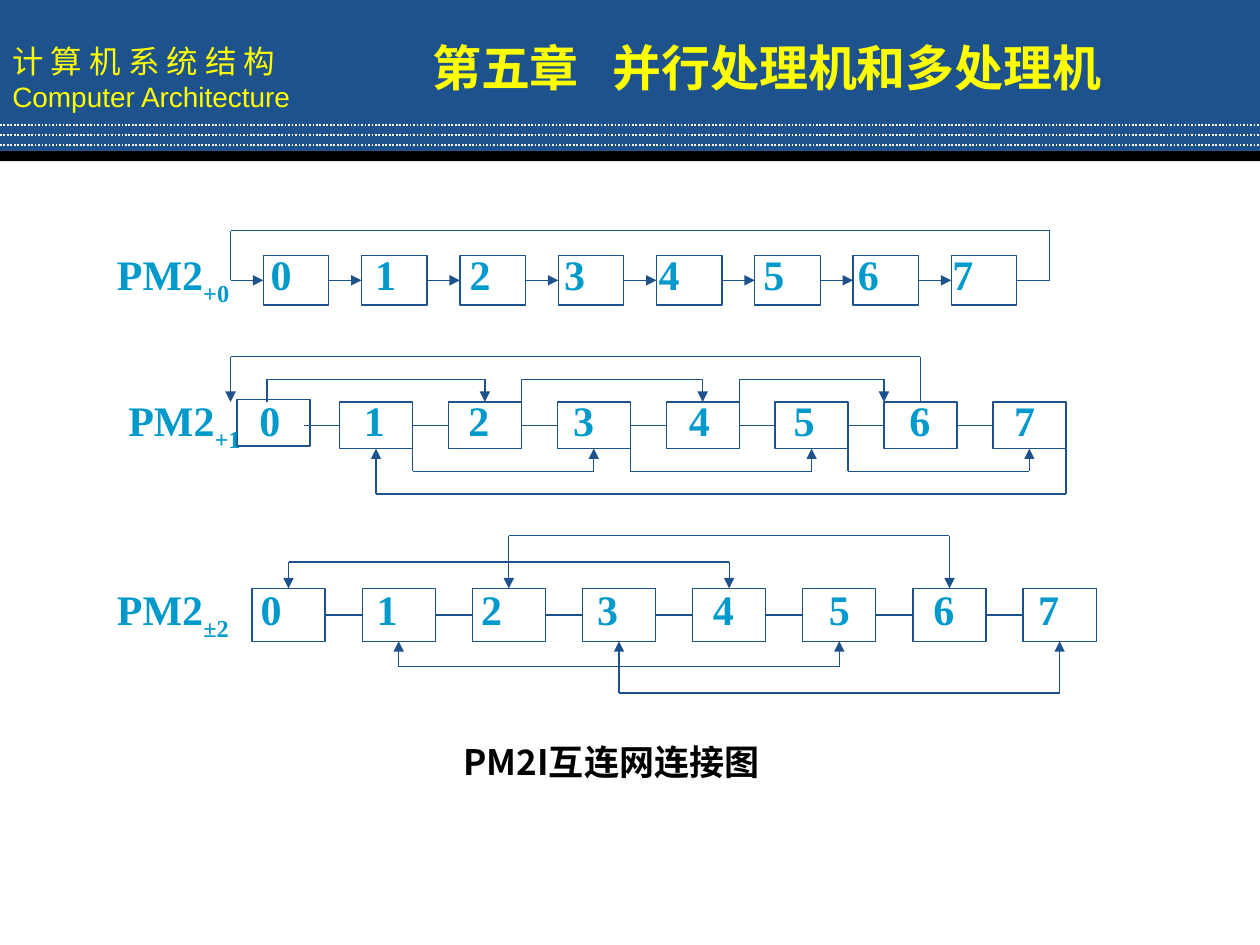
from dataclasses import dataclass
from itertools import accumulate

import pptx
import pptx.dml.color
import pptx.enum.dml
import pptx.enum.shapes
import pptx.enum.text
import pptx.oxml.ns
import pptx.util
from lxml import etree
from pptx.util import Inches

qn = pptx.oxml.ns.qn


@dataclass(frozen=True)
class Theme:
    blue: str = "1D528D"
    cyan: str = "0099CC"
    yellow: str = "FFFF00"
    white: str = "FFFFFF"
    black: str = "000000"
    chinese: str = "Noto Sans CJK SC"
    sans: str = "Arial"
    serif: str = "Times New Roman"
    title_size: int = 28
    node_size: int = 24
    caption_size: int = 20
    course_size: int = 18
    course_english_size: int = 16
    line_width: float = 0.75


THEME = Theme()
RECTANGLE = pptx.enum.shapes.MSO_SHAPE.RECTANGLE


@dataclass
class NodeRow:
    """Eight equally spaced boxes."""
    first: float
    last: float
    top: float
    width: float
    height: float

    def x(self, node, fraction=0.0):
        return self.first + node * (self.last - self.first) / 7 + fraction * self.width

    @property
    def middle(self):
        return self.top + self.height / 2

    def edge(self, level):
        return self.top if level < self.top else self.top + self.height


def color(value):
    return pptx.dml.color.RGBColor.from_string(value)


def style(paragraph, size, font_name, text_color, bold=False):
    font = paragraph.font
    font.size = pptx.util.Pt(size)
    font.name = font_name
    font.bold = bold
    font.color.rgb = color(text_color)
    properties = paragraph._p.get_or_add_pPr().find(qn("a:defRPr"))
    etree.SubElement(properties, qn("a:ea"), typeface=font_name)


def add_tabs(paragraph, positions):
    tab_list = etree.SubElement(paragraph._p.get_or_add_pPr(), qn("a:tabLst"))
    for position in positions:
        etree.SubElement(tab_list, qn("a:tab"), pos=str(int(Inches(position))), algn="l")


def add_box(slide, left, top, width, height, fill=None, line=None):
    shape = slide.shapes.add_shape(
        RECTANGLE, Inches(left), Inches(top), Inches(width), Inches(height))
    shape.shadow.inherit = False
    if fill:
        shape.fill.solid()
        shape.fill.fore_color.rgb = color(fill)
    else:
        shape.fill.background()
    if line:
        shape.line.color.rgb = color(line)
        shape.line.width = pptx.util.Pt(THEME.line_width)
    else:
        shape.line.fill.background()
    return shape


def add_line(slide, start, end, head=False, tail=False,
             line_color=THEME.blue, width=THEME.line_width):
    connector = slide.shapes.add_connector(
        pptx.enum.shapes.MSO_CONNECTOR.STRAIGHT, *map(Inches, (*start, *end)))
    connector.line.color.rgb = color(line_color)
    connector.line.width = pptx.util.Pt(width)
    line = connector.line._get_or_add_ln()
    for tag, wanted in (("a:headEnd", head), ("a:tailEnd", tail)):
        if wanted:
            etree.SubElement(line, qn(tag), type="triangle")
    etree.SubElement(connector.element.spPr, qn("a:effectLst"))
    return connector


def add_route(slide, points, head=False):
    """Join the points with straight lines, ending in an arrowhead."""
    count = len(points) - 1
    for index in range(count):
        add_line(slide, points[index], points[index + 1],
                 head=head and index == 0, tail=index == count - 1)


def add_bracket(slide, row, start, end, level, head=False):
    """Link two (node, fraction) places through a horizontal level."""
    edge, start_x, end_x = row.edge(level), row.x(*start), row.x(*end)
    add_route(slide, [(start_x, edge), (start_x, level), (end_x, level), (end_x, edge)], head)


def add_text(slide, left, top, width, height):
    text_box = slide.shapes.add_textbox(Inches(left), Inches(top), Inches(width), Inches(height))
    text_box.text_frame.word_wrap = True
    return text_box.text_frame.paragraphs[0]


def add_row_text(slide, left, top, width, subscript, first_tab, gaps):
    """Write the row label and its node numbers; gaps separate the numbers."""
    paragraph = add_text(slide, left, top, width, 0.57)
    add_tabs(paragraph, accumulate(gaps, initial=first_tab))
    style(paragraph, THEME.node_size, THEME.serif, THEME.cyan, bold=True)
    paragraph.add_run().text = "PM2"
    lowered = paragraph.add_run()
    lowered.text = subscript
    lowered._r.get_or_add_rPr().set("baseline", "-30000")
    paragraph.add_run().text = "".join(f"\t{node}" for node in range(8))


def add_nodes(slide, row, arrows=False, first_shift=(0, 0)):
    for node in range(8):
        shift_x, shift_y = first_shift if node == 0 else (0, 0)
        add_box(slide, row.x(node) + shift_x, row.top + shift_y,
                row.width, row.height, line=THEME.blue)
    for node in range(7):
        add_line(slide, (row.x(node, 1), row.middle), (row.x(node + 1), row.middle), tail=arrows)


def add_banner(slide):
    banner = add_box(slide, 0, 0, 10, 1.23, fill=THEME.blue)
    frame = banner.text_frame
    frame.word_wrap = True
    frame.vertical_anchor = pptx.enum.text.MSO_ANCHOR.MIDDLE
    lines = (("计 算 机 系 统 结 构", THEME.course_size, THEME.chinese),
             ("Computer Architecture", THEME.course_english_size, THEME.sans))
    for index, (text, size, font_name) in enumerate(lines):
        paragraph = frame.add_paragraph() if index else frame.paragraphs[0]
        paragraph.text = text
        paragraph.alignment = pptx.enum.text.PP_ALIGN.LEFT
        style(paragraph, size, font_name, THEME.yellow)
    add_box(slide, 0, 1.2, 10, 0.08, fill=THEME.black)
    for y in (0.99, 1.07, 1.15):
        rule = add_line(slide, (0, y), (10, y), line_color=THEME.white, width=1)
        rule.line.dash_style = pptx.enum.dml.MSO_LINE.ROUND_DOT


def set_title(slide):
    title = slide.shapes.title
    title.left, title.top, title.width, title.height = map(Inches, (3.33, 0.25, 6.42, 0.57))
    title.element.getparent().append(title.element)  # in front of the banner
    frame = title.text_frame
    frame.auto_size = pptx.enum.text.MSO_AUTO_SIZE.NONE
    frame.vertical_anchor = pptx.enum.text.MSO_ANCHOR.TOP
    paragraph = frame.paragraphs[0]
    paragraph.add_run().text = "第五章\t并行处理机和多处理机"
    paragraph.alignment = pptx.enum.text.PP_ALIGN.LEFT
    add_tabs(paragraph, [1.43])
    style(paragraph, THEME.title_size, THEME.chinese, THEME.yellow, bold=True)


def main():
    presentation = pptx.Presentation()
    presentation.slide_width, presentation.slide_height = Inches(10), Inches(7.5)
    slide = presentation.slides.add_slide(presentation.slide_layouts[5])
    add_banner(slide)
    set_title(slide)

    # PM2+0: ring through neighbouring nodes
    row = NodeRow(2.09, 7.55, 2.03, 0.52, 0.39)
    add_nodes(slide, row, arrows=True)
    add_route(slide, [(8.07, row.middle), (8.33, row.middle), (8.33, 1.83),
                      (1.83, 1.83), (1.83, row.middle), (2.09, row.middle)])
    add_row_text(slide, 0.83, 1.92, 8.33, "+0", 1.22, (0.83, 0.75, 0.75, 0.75, 0.83, 0.75, 0.75))

    # PM2+1: steps of two
    row = NodeRow(1.83, 7.88, 3.19, 0.58, 0.37)
    add_nodes(slide, row, first_shift=(0.05, -0.02))
    for start, end, level in (
            ((6, 0.5), (0, 0), 2.83), ((0, 0.5), (2, 0.5), 3.01),
            ((2, 1), (4, 0.5), 3.01), ((4, 1), (6, 0), 3.01),
            ((1, 1), (3, 0.5), 3.74), ((3, 1), (5, 0.5), 3.74),
            ((5, 1), (7, 0.5), 3.74), ((7, 1), (1, 0.5), 3.92)):
        add_bracket(slide, row, start, end, level)
    add_row_text(slide, 0.92, 3.08, 7.83, "+1", 1.04, (0.83, 0.83, 0.83, 0.92, 0.83, 0.92, 0.83))

    # PM2±2: two-way steps of four
    row = NodeRow(2, 8.12, 4.67, 0.58, 0.42)
    add_nodes(slide, row)
    for node, level in enumerate((4.46, 5.29, 4.25, 5.5)):
        add_bracket(slide, row, (node, 0.5), (node + 4, 0.5), level, head=True)
    add_row_text(slide, 0.83, 4.58, 8.08, "±2", 1.14, (0.92, 0.83, 0.92, 0.92, 0.92, 0.83, 0.83))

    # Caption
    caption = add_text(slide, 3.58, 5.83, 3.5, 0.44)
    caption.text = "PM2I互连网连接图"
    style(caption, THEME.caption_size, THEME.chinese, THEME.black, bold=True)

    presentation.save("out.pptx")


if __name__ == "__main__":
    main()
